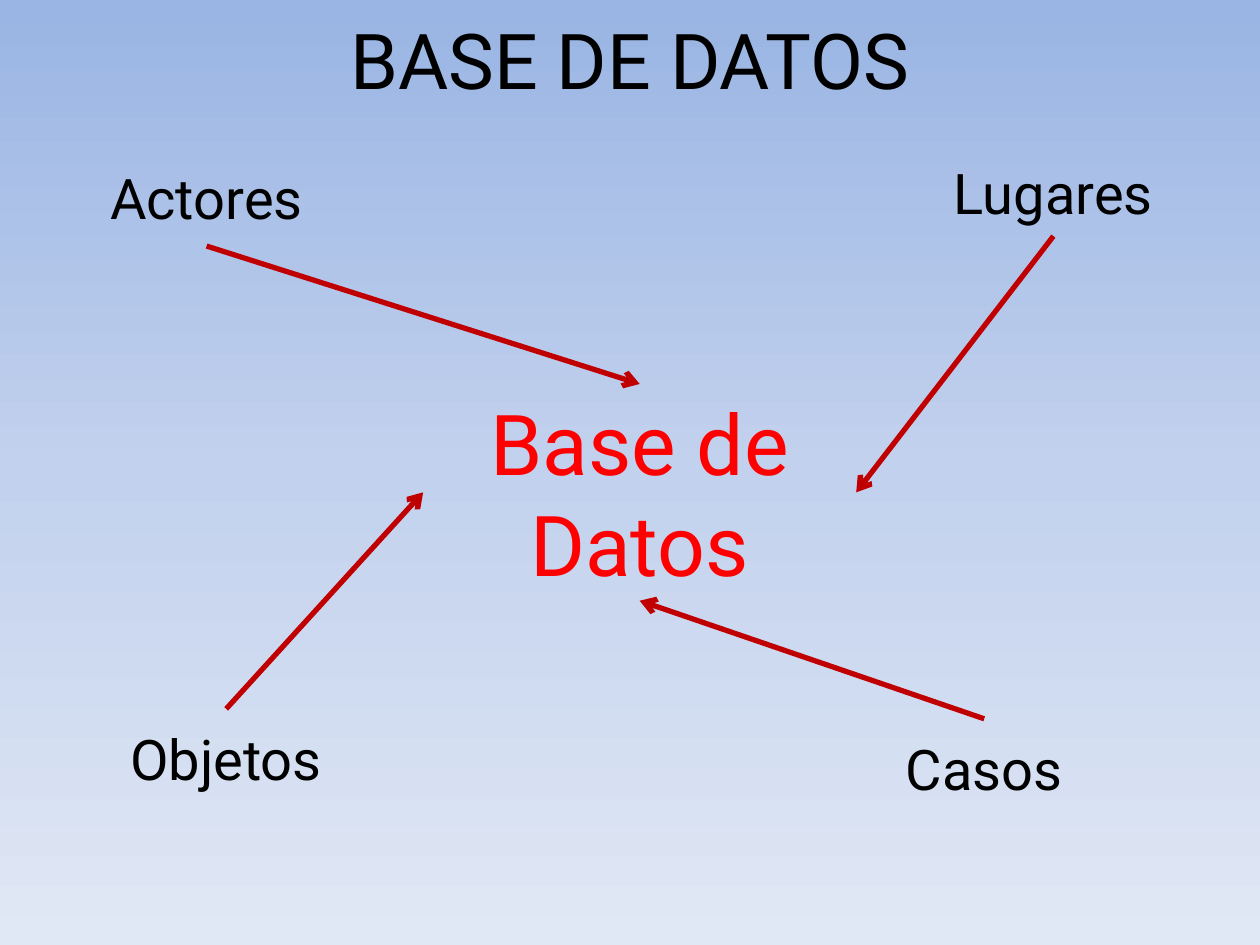
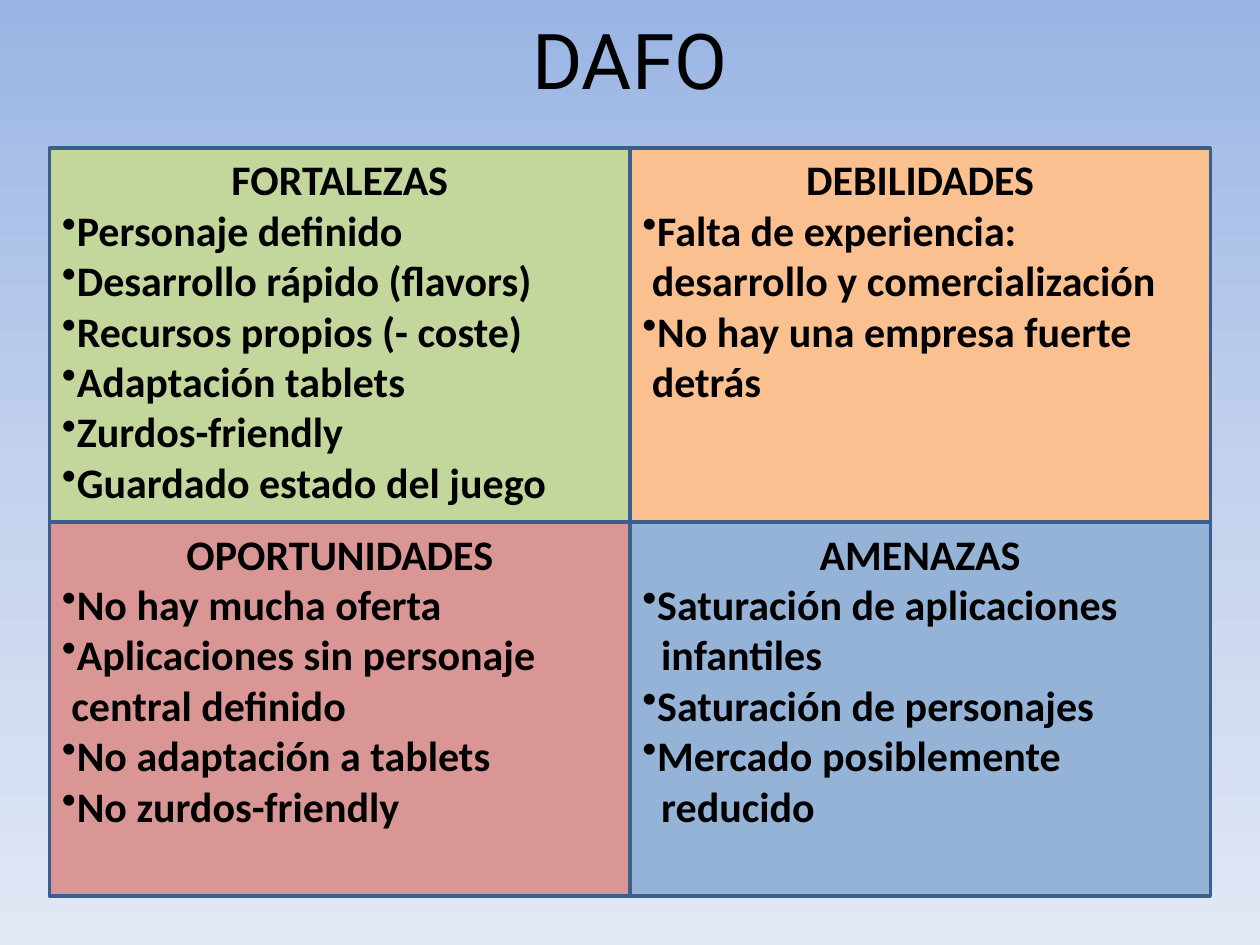
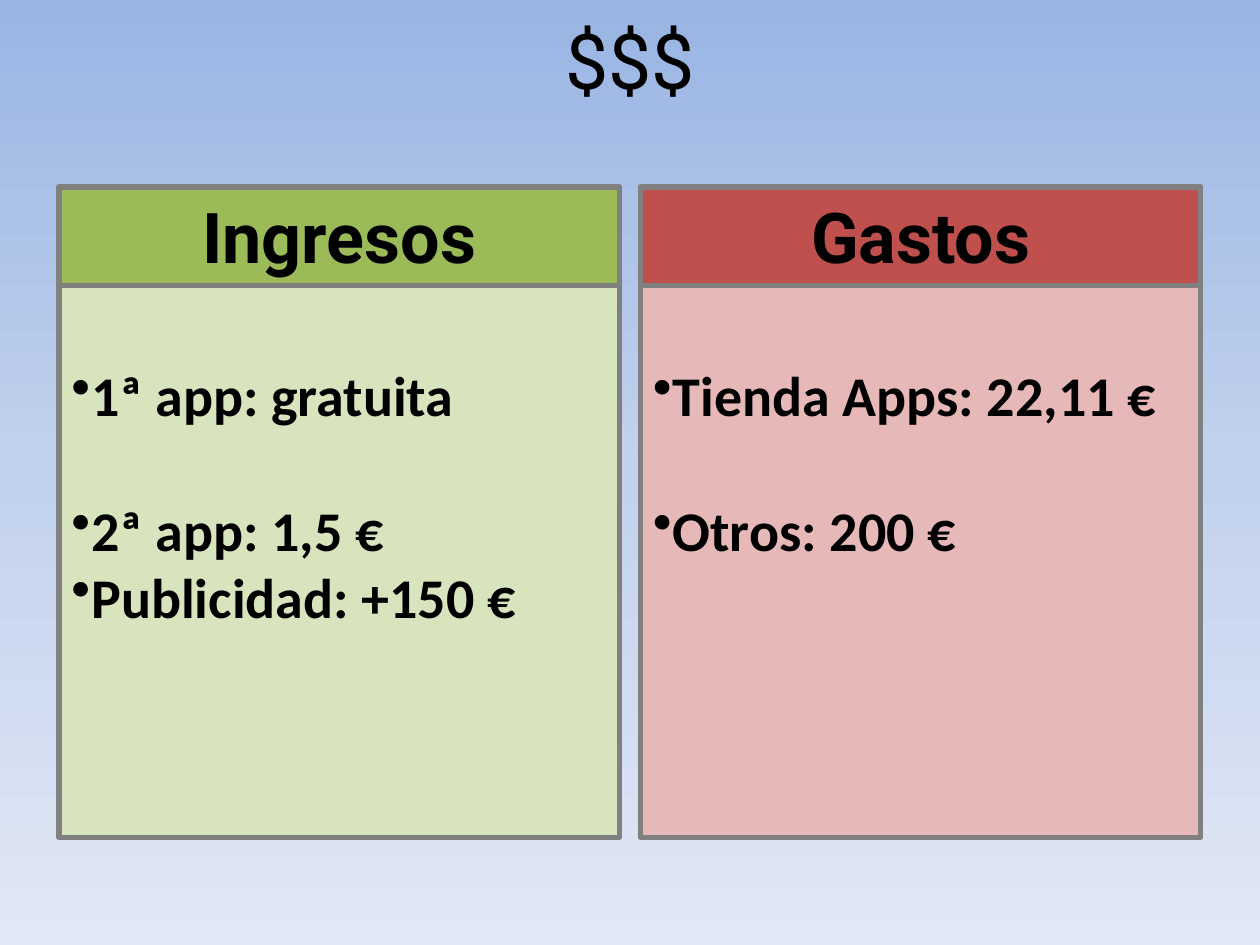
from copy import deepcopy

from lxml.etree import SubElement
from pptx import Presentation
from pptx.dml.color import RGBColor
from pptx.enum.shapes import MSO_CONNECTOR, MSO_SHAPE
from pptx.enum.text import MSO_ANCHOR, PP_ALIGN
from pptx.oxml.ns import qn
from pptx.util import Cm, Pt

COLOURS = {
    "sky_top": "9AB5E4", "sky_middle": "C2D1ED", "sky_bottom": "E1E8F5",
    "text": "000000", "centre": "FF0000", "arrow": "C00000",
    "grid_line": "3A5F8C", "ledger_line": "808080",
    "strengths": "C3D69B", "weaknesses": "FAC090",
    "opportunities": "D99694", "threats": "95B3D7",
    "income": "9BBB59", "income_body": "D7E4BD",
    "costs": "C0504D", "costs_body": "E6B9B8",
}
FORMATS = {
    "title": {"name": "Roboto", "size": Pt(44)},
    "label": {"name": "Roboto", "size": Pt(32)},
    "centre": {"name": "Roboto", "size": Pt(48)},
    "quadrant": {"name": "Calibri", "size": Pt(24), "bold": True},
    "ledger_head": {"name": "Roboto", "size": Pt(40), "bold": True},
    "ledger_body": {"name": "Calibri", "size": Pt(32), "bold": True},
}
TOP, LEFT, BOTTOM, RIGHT = range(4)
SLIDE_WIDTH, SLIDE_HEIGHT = 25.4, 19.05

LABELS = [
    ("Actores", (0, 2.98, 8.33, 1.98), BOTTOM, TOP),
    ("Lugares", (17.07, 2.98, 8.33, 1.78), BOTTOM, RIGHT),
    ("Objetos", (0.79, 14.29, 7.54, 1.98), TOP, LEFT),
    ("Casos", (16.07, 14.49, 7.54, 1.98), TOP, BOTTOM),
]
QUADRANTS = [
    ("FORTALEZAS", "strengths", 0, [
        ["Personaje definido"], ["Desarrollo rápido (flavors)"],
        ["Recursos propios (- coste)"], ["Adaptación tablets"],
        ["Zurdos-friendly"], ["Guardado estado del juego"]]),
    ("DEBILIDADES", "weaknesses", 0.19, [
        ["Falta de experiencia:", "desarrollo y comercialización"],
        ["No hay una empresa fuerte", "detrás"]]),
    ("OPORTUNIDADES", "opportunities", 0.19, [
        ["No hay mucha oferta"],
        ["Aplicaciones sin personaje", "central definido"],
        ["No adaptación a tablets"], ["No zurdos-friendly"]]),
    ("AMENAZAS", "threats", 0.38, [
        ["Saturación de aplicaciones", "infantiles"],
        ["Saturación de personajes"],
        ["Mercado posiblemente", "reducido"]]),
]
LEDGERS = [
    ("Ingresos", "income", [
        ("1ª app: gratuita", 0), ("2ª app: 1,5 €", 39),
        ("Publicidad: +150 €", 0)]),
    ("Gastos", "costs", [("Tienda Apps: 22,11 €", 0), ("Otros: 200 €", 39)]),
]


def colour(name):
    """Return the named colour."""
    return RGBColor.from_string(COLOURS[name])


def paint_background(master):
    """Give the master its three-stop vertical gradient."""
    fill = master.background.fill
    fill.gradient()
    fill.gradient_angle = 270
    stops = master.element.find(f".//{qn('a:gsLst')}")
    stops.append(deepcopy(stops[0]))
    names = ("sky_top", "sky_middle", "sky_bottom")
    for stop, name, position in zip(fill.gradient_stops, names, (0, 0.5, 1)):
        stop.color.rgb = colour(name)
        stop.position = position


def write(para, text, style, tint="text", align=PP_ALIGN.LEFT):
    """Write one formatted run in a paragraph."""
    para.alignment = align
    span = para.add_run()
    span.text = text
    span.font.color.rgb = colour(tint)
    for key, value in FORMATS[style].items():
        setattr(span.font, key, value)


def write_bullet(para, text, style, gap=0):
    """Write a bulleted paragraph with a gap in points above it."""
    para.space_before = Pt(gap)
    SubElement(para._p.get_or_add_pPr(), qn("a:buChar")).set("char", "•")
    write(para, text, style)


def add_label(page, area, text, style, tint="text"):
    """Add a centred text box filling the area."""
    box = page.shapes.add_textbox(*map(Cm, area))
    frame = box.text_frame
    frame.word_wrap = True
    frame.vertical_anchor = MSO_ANCHOR.MIDDLE
    write(frame.paragraphs[0], text, style, tint, PP_ALIGN.CENTER)
    return box


def add_panel(page, area, fill, line, weight):
    """Add a filled, outlined rectangle whose text starts at the top."""
    box = page.shapes.add_shape(MSO_SHAPE.RECTANGLE, *map(Cm, area))
    box.shadow.inherit = False
    box.fill.solid()
    box.fill.fore_color.rgb = colour(fill)
    box.line.color.rgb = colour(line)
    box.line.width = Pt(weight)
    box.text_frame.word_wrap = True
    box.text_frame.vertical_anchor = MSO_ANCHOR.TOP
    return box


def add_arrow(page, start, start_side, end, end_side):
    """Join the sides of two boxes with an arrow."""
    arrow = page.shapes.add_connector(MSO_CONNECTOR.STRAIGHT, 0, 0, 0, 0)
    arrow.begin_connect(start, start_side)
    arrow.end_connect(end, end_side)
    arrow.line.color.rgb = colour("arrow")
    arrow.line.width = Pt(3)
    outline = arrow.element.spPr.find(qn("a:ln"))
    SubElement(outline, qn("a:tailEnd")).set("type", "arrow")
    SubElement(arrow.element.spPr, qn("a:effectLst"))


def add_page(deck, title):
    """Add a blank page with its title."""
    page = deck.slides.add_slide(deck.slide_layouts[6])
    add_label(page, (0, 0, SLIDE_WIDTH, 2.38), title, "title")
    return page


def draw_database(page, area):
    """Draw the central box and the labels that point to it."""
    centre = add_label(page, area, "Base de Datos", "centre", "centre")
    for text, place, start_side, end_side in LABELS:
        label = add_label(page, place, text, "label")
        add_arrow(page, label, start_side, centre, end_side)


def draw_quadrants(page, area):
    """Draw the two by two grid of quadrants."""
    left, top, width, height = area[0], area[1], area[2] / 2, area[3] / 2
    for index, (heading, fill, indent, points) in enumerate(QUADRANTS):
        row, column = divmod(index, 2)
        place = (left + column * width, top + row * height, width, height)
        frame = add_panel(page, place, fill, "grid_line", 2).text_frame
        write(frame.paragraphs[0], heading, "quadrant", align=PP_ALIGN.CENTER)
        for first, *rest in points:
            write_bullet(frame.add_paragraph(), first, "quadrant")
            for text in rest:
                para = frame.add_paragraph()
                para._p.get_or_add_pPr().set("marL", str(Cm(indent)))
                write(para, text, "quadrant")


def draw_ledgers(page, area):
    """Draw the income and cost columns side by side."""
    left, top, width, height = area
    gap, head = 0.42, 1.99
    column = (width - gap) / 2
    for index, (heading, fill, entries) in enumerate(LEDGERS):
        x = left + index * (column + gap)
        header = add_panel(page, (x, top, column, head), fill, "ledger_line", 3)
        write(header.text_frame.paragraphs[0], heading, "ledger_head",
              align=PP_ALIGN.CENTER)
        body = add_panel(page, (x, top + head, column, height - head),
                         f"{fill}_body", "ledger_line", 3)
        frame = body.text_frame
        frame.margin_top = Cm(1.5)
        for order, (text, space) in enumerate(entries):
            para = frame.add_paragraph() if order else frame.paragraphs[0]
            write_bullet(para, text, "ledger_body", space)


def main():
    """Build and save the deck."""
    deck = Presentation()
    deck.slide_width, deck.slide_height = Cm(SLIDE_WIDTH), Cm(SLIDE_HEIGHT)
    paint_background(deck.slide_master)
    draw_database(add_page(deck, "BASE DE DATOS"), (8.53, 7.74, 8.73, 4.37))
    draw_quadrants(add_page(deck, "DAFO"), (1, 2.98, 23.4, 15.08))
    draw_ledgers(add_page(deck, "$$$"), (1.19, 3.77, 23.02, 13.11))
    deck.save("out.pptx")


if __name__ == "__main__":
    main()
